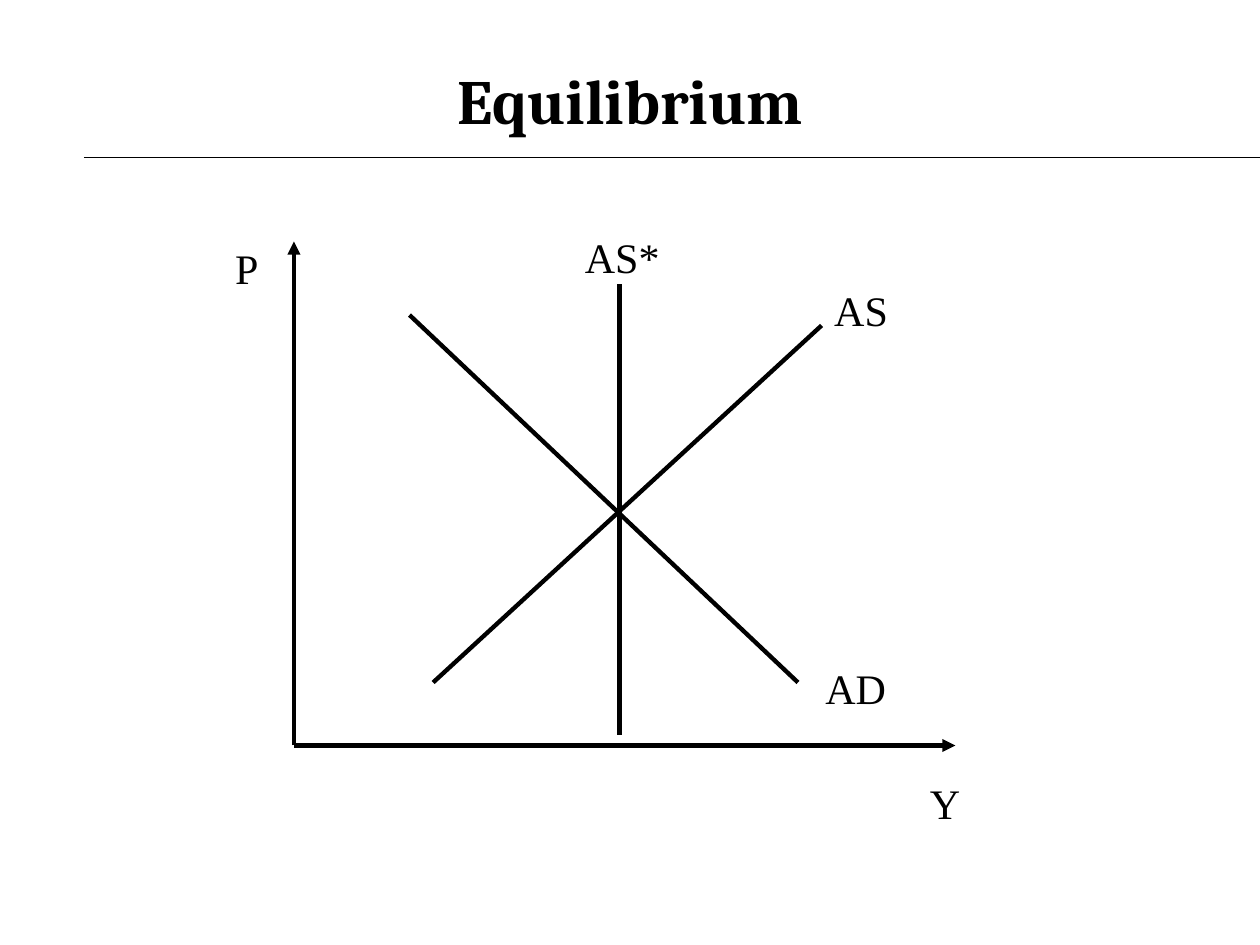
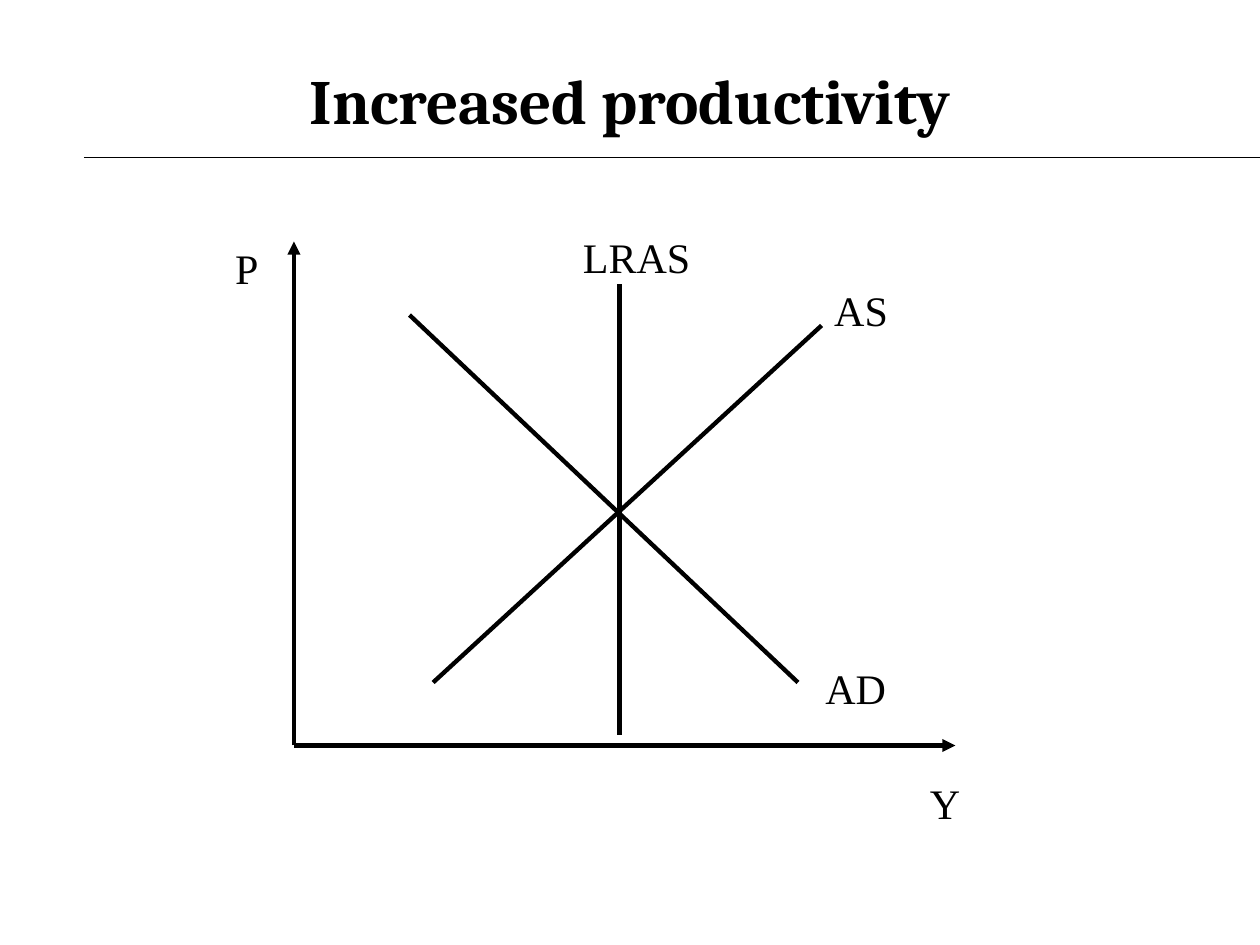
from dataclasses import dataclass
from typing import Any

from lxml.etree import SubElement as Sub
from pptx import Presentation
from pptx.dml.color import RGBColor as RGB
from pptx.enum.shapes import MSO_CONNECTOR as Conn
from pptx.enum.text import MSO_ANCHOR as Anchor, MSO_AUTO_SIZE as Auto, PP_ALIGN as Align
from pptx.oxml.ns import qn
from pptx.util import Inches, Pt

COLS, ROWS = 120, 90  # grid cells across and down the slide
WIDE, HIGH = Inches(10), Inches(7.5)


@dataclass(frozen=True)
class Theme:
    ink: RGB = RGB(0, 0, 0)
    paper: RGB = RGB(255, 255, 255)
    head: str = "Cambria"
    body: str = "Times New Roman"
    big: float = 36
    small: float = 24
    thin: float = 0.75
    thick: float = 2.5


@dataclass(frozen=True)
class Stroke:
    x1: float
    y1: float
    x2: float
    y2: float
    arrow: bool = False


@dataclass(frozen=True)
class Label:
    text: str
    x: float
    y: float
    w: float
    h: float = 6


@dataclass(frozen=True)
class Page:
    title: str
    supply: Label  # name of the upright supply curve


THEME = Theme()
TITLE = Label("", 6, 4, 108, 11)
RULE = Stroke(8, 15, COLS, 15)

# Axes share one origin; the curves cross above it
LEFT, BASE = 28, 71
STROKES = [
    Stroke(LEFT, BASE, 91, BASE, True),
    Stroke(LEFT, BASE, LEFT, 23, True),
    Stroke(41.25, 65, 78.25, 31),
    Stroke(76, 65, 39, 30),
    Stroke(59, 70, 59, 27),
]
LABELS = [
    Label("Y", 86, 73, 8),
    Label("P", 20, 22, 7),
    Label("AS", 78, 26, 8),
    Label("AD", 76, 62, 11),
]
PAGES = [
    Page("Equilibrium", Label("AS*", 54.25, 21, 10)),
    Page("Increased productivity", Label("LRAS", 54.25, 21, 12.75)),
]


def col(n: float) -> int:
    return round(WIDE * n / COLS)


def row(n: float) -> int:
    return round(HIGH * n / ROWS)


def put(obj: Any, **vals: Any) -> None:
    for key, val in vals.items():
        setattr(obj, key, val)


def write(shape: Any, text: str, font: str, size: float, bold: bool, **frame: Any) -> None:
    put(shape.text_frame, word_wrap=True, **frame)
    para = shape.text_frame.paragraphs[0]
    para.alignment = Align.CENTER
    run = para.add_run()
    run.text = text
    put(run.font, name=font, size=Pt(size), bold=bold)
    run.font.color.rgb = THEME.ink


def draw(shapes: Any, s: Stroke, width: float) -> Any:
    line = shapes.add_connector(Conn.STRAIGHT, col(s.x1), row(s.y1), col(s.x2), row(s.y2))
    line.line.width = Pt(width)
    line.line.color.rgb = THEME.ink
    props = line._element.spPr
    if s.arrow:
        Sub(props.find(qn("a:ln")), qn("a:tailEnd"), type="triangle")
    Sub(props, qn("a:effectLst"))
    return line


def tag(shapes: Any, lab: Label) -> None:
    box = shapes.add_textbox(col(lab.x), row(lab.y), col(lab.w), row(lab.h))
    write(box, lab.text, THEME.body, THEME.small, False, auto_size=Auto.SHAPE_TO_FIT_TEXT,
          margin_top=Inches(0.09), margin_bottom=Inches(0.02))


def build(deck: Any, page: Page) -> None:
    slide = deck.slides.add_slide(deck.slide_layouts[5])
    # Title
    head = slide.shapes.title
    put(head, left=col(TITLE.x), top=row(TITLE.y), width=col(TITLE.w), height=row(TITLE.h))
    write(head, page.title, THEME.head, THEME.big, True, auto_size=Auto.NONE,
          vertical_anchor=Anchor.MIDDLE)
    # Diagram
    graph = slide.shapes.add_group_shape().shapes
    for stroke in STROKES:
        draw(graph, stroke, THEME.thick)
    for lab in [*LABELS, page.supply]:
        tag(graph, lab)


def main() -> None:
    deck = Presentation()
    put(deck, slide_width=WIDE, slide_height=HIGH)
    # Shared background and rule, kept on the master
    base = deck.slide_master
    base.background.fill.solid()
    base.background.fill.fore_color.rgb = THEME.paper
    for page in PAGES:
        build(deck, page)
    rule = draw(deck.slides[0].shapes, RULE, THEME.thin)
    base.shapes._spTree.append(rule._element)
    deck.save("out.pptx")


if __name__ == "__main__":
    main()
